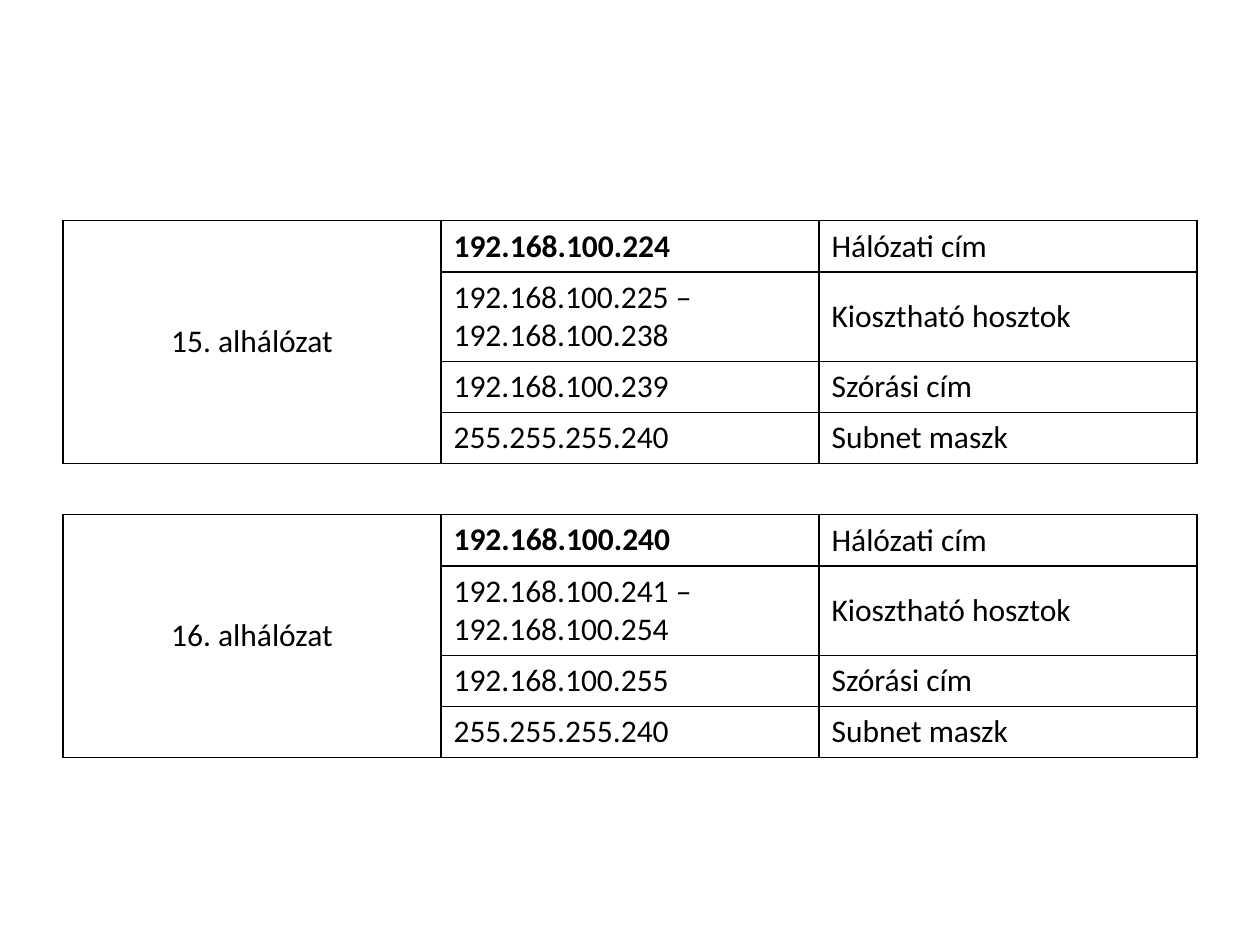
"""Build a slide with a table of two subnets and their address ranges."""

from dataclasses import dataclass

from lxml.etree import SubElement
from pptx import Presentation
from pptx.dml.color import RGBColor
from pptx.enum.text import MSO_ANCHOR as Anchor, PP_ALIGN as Align
from pptx.oxml.ns import qn
from pptx.table import Table, _Cell as Cell
from pptx.util import Cm, Pt


@dataclass(frozen=True)
class Theme:
    font: str = "Calibri"
    size: int = 18
    ink: str = "000000"
    border: int = 1


@dataclass(frozen=True)
class Subnet:
    name: str
    network: str
    first_host: str
    last_host: str
    broadcast: str
    mask: str = "255.255.255.240"

    def entries(self) -> list[tuple[list[str], str]]:
        return [
            ([self.network], "Hálózati cím"),
            ([f"{self.first_host} –", self.last_host], "Kiosztható hosztok"),
            ([self.broadcast], "Szórási cím"),
            ([self.mask], "Subnet maszk"),
        ]


THEME = Theme()
SUBNETS = [
    Subnet("15. alhálózat", "192.168.100.224", "192.168.100.225",
           "192.168.100.238", "192.168.100.239"),
    Subnet("16. alhálózat", "192.168.100.240", "192.168.100.241",
           "192.168.100.254", "192.168.100.255"),
]
BLOCK_ROWS = 4
COLUMNS = 3
COLUMN_WIDTH = Cm(7.62)
LINE_HEIGHTS = {1: Cm(1.03), 2: Cm(1.8)}


def set_borders(cell: Cell, drawn_sides: str) -> None:
    properties = cell._tc.get_or_add_tcPr()
    for side in "LRTB":
        line = SubElement(properties, qn(f"a:ln{side}"), w=str(Pt(THEME.border)))
        if side in drawn_sides:
            fill = SubElement(line, qn("a:solidFill"))
            SubElement(fill, qn("a:srgbClr"), val=THEME.ink)
        else:
            SubElement(line, qn("a:noFill"))
    cell.fill.background()


def write(cell: Cell, lines: list[str], anchor: Anchor = Anchor.MIDDLE,
          align: Align = Align.LEFT, bold: bool = False) -> None:
    cell.vertical_anchor = anchor
    formats = {"name": THEME.font, "size": Pt(THEME.size), "bold": bold}
    frame = cell.text_frame
    for index, text in enumerate(lines):
        para = frame.add_paragraph() if index else frame.paragraphs[0]
        para.alignment = align
        span = para.add_run()
        span.text = text
        for name, value in formats.items():
            setattr(span.font, name, value)
        span.font.color.rgb = RGBColor.from_string(THEME.ink)


def fill_block(table: Table, top: int, subnet: Subnet) -> None:
    title = table.cell(top, 0)
    title.merge(table.cell(top + BLOCK_ROWS - 1, 0))
    write(title, [subnet.name], align=Align.CENTER)
    for offset, (addresses, label) in enumerate(subnet.entries()):
        row = top + offset
        table.rows[row].height = LINE_HEIGHTS[len(addresses)]
        write(table.cell(row, 1), addresses, Anchor.TOP, bold=offset == 0)
        write(table.cell(row, 2), [label])


def main() -> None:
    deck = Presentation()
    deck.slide_width, deck.slide_height = Cm(25.4), Cm(19.05)
    page = deck.slides.add_slide(deck.slide_layouts[6])
    step = BLOCK_ROWS + 1
    row_count = step * len(SUBNETS) - 1
    table = page.shapes.add_table(
        row_count, COLUMNS, Cm(1.27), Cm(4.45),
        COLUMN_WIDTH * COLUMNS, LINE_HEIGHTS[1] * row_count).table
    table.first_row = table.horz_banding = False
    for column in table.columns:
        column.width = COLUMN_WIDTH
    for row in range(row_count):
        is_gap = row % step == BLOCK_ROWS
        for column in range(COLUMNS):
            set_borders(table.cell(row, column), "TB" if is_gap else "LRTB")
    for index, subnet in enumerate(SUBNETS):
        fill_block(table, index * step, subnet)
    deck.save("out.pptx")


if __name__ == "__main__":
    main()
